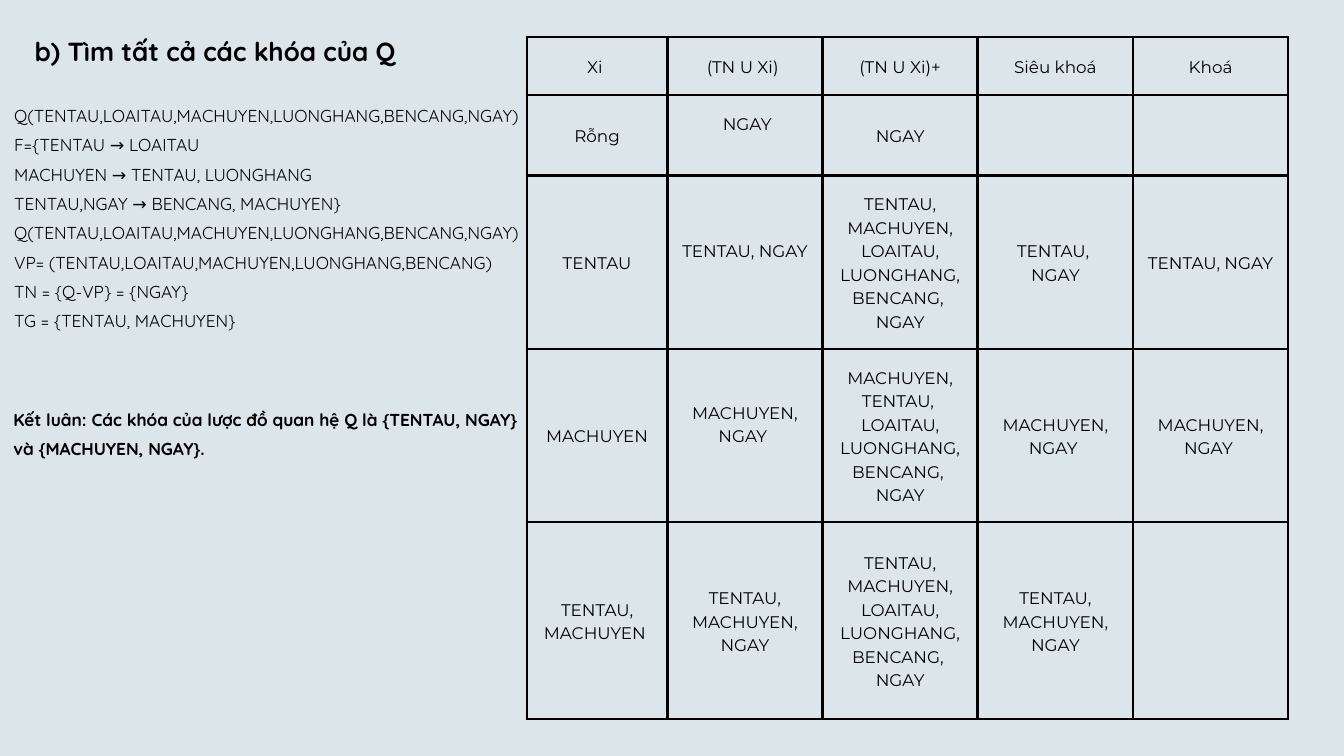
from dataclasses import dataclass

from lxml import etree
from pptx import Presentation
from pptx import util as u
from pptx.dml.color import RGBColor
from pptx.enum import text
from pptx.oxml.ns import qn


@dataclass(frozen=True)
class Theme:
    """Colours, fonts and type sizes of the deck."""
    ground: str = "DBE5EA"
    ink: str = "000000"
    body_font: str = "Quicksand"
    table_font: str = "Montserrat"
    title_size: float = 28
    title_line: float = 47.6
    body_size: float = 18.5
    body_line: float = 31.4
    table_size: float = 18
    table_line: float = 25.2
    border: float = 3


THEME = Theme()
CENTER = text.PP_ALIGN.CENTER
LEFT = text.PP_ALIGN.LEFT
CELL_MARGIN = 0.21
RAISED_MARGIN = CELL_MARGIN + 0.35

TITLE = ["b) Tìm tất cả các khóa của Q"]
RELATION = [
    "Q(TENTAU,LOAITAU,MACHUYEN,LUONGHANG,BENCANG,NGAY)",
    "F={TENTAU → LOAITAU",
    "MACHUYEN → TENTAU, LUONGHANG",
    "TENTAU,NGAY → BENCANG, MACHUYEN}",
    "Q(TENTAU,LOAITAU,MACHUYEN,LUONGHANG,BENCANG,NGAY)",
    "VP= (TENTAU,LOAITAU,MACHUYEN,LUONGHANG,BENCANG)",
    "TN = {Q-VP} = {NGAY}",
    "TG = {TENTAU, MACHUYEN}",
]
CONCLUSION = [
    "Kết luân: Các khóa của lược đồ quan hệ Q là {TENTAU, NGAY}",
    "và {MACHUYEN, NGAY}.",
]

SHIP_CLOSURE = "TENTAU,\nMACHUYEN, LOAITAU,\nLUONGHANG, BENCANG, \nNGAY"
TRIP_CLOSURE = "MACHUYEN,\nTENTAU, \nLOAITAU,\nLUONGHANG, BENCANG, \nNGAY"
ALL_KEYS = "TENTAU, MACHUYEN, NGAY"
KEY_ROWS = [
    ["Xi ", "(TN U Xi) ", "(TN U Xi)+", "Siêu khoá", "Khoá"],
    ["Rỗng", " NGAY", "NGAY", "", ""],
    ["TENTAU", "TENTAU, NGAY", SHIP_CLOSURE, "TENTAU, \nNGAY", "TENTAU, NGAY "],
    ["MACHUYEN", "MACHUYEN,\nNGAY ", TRIP_CLOSURE, "MACHUYEN, NGAY ", "MACHUYEN, NGAY "],
    ["TENTAU, MACHUYEN ", ALL_KEYS, SHIP_CLOSURE, ALL_KEYS, ""],
]
RAISED_CELLS = {(1, 1), (2, 1), (3, 1)}
COLUMN_WIDTHS = [2.09] + [2.31] * 4
ROW_HEIGHTS = [0.86, 1.2, 2.58, 2.58, 2.93]


def write_lines(frame, lines, font, size, line, bold=False, align=LEFT):
    """Write one paragraph for each line, all in the same style."""
    for index, words in enumerate(lines):
        para = frame.add_paragraph() if index else frame.paragraphs[0]
        para.text = words
        para.alignment = align
        para.line_spacing = u.Pt(line)
        para.font.name = font
        para.font.size = u.Pt(size)
        para.font.bold = bold
        para.font.color.rgb = RGBColor.from_string(THEME.ink)


def add_text(page, box, lines, size, line, bold=False, align=LEFT):
    """Place a text block without margins in the given box."""
    frame = page.shapes.add_textbox(*map(u.Inches, box)).text_frame
    frame.word_wrap = True
    frame.auto_size = text.MSO_AUTO_SIZE.SHAPE_TO_FIT_TEXT
    frame.margin_left = frame.margin_right = 0
    frame.margin_top = frame.margin_bottom = 0
    write_lines(frame, lines, THEME.body_font, size, line, bold, align)


def draw_borders(cell):
    """Draw a solid line on all four sides of a cell."""
    properties = cell._tc.get_or_add_tcPr()
    for index, side in enumerate(("a:lnL", "a:lnR", "a:lnT", "a:lnB")):
        edge = etree.Element(qn(side), w=str(u.Pt(THEME.border)))
        fill = etree.SubElement(edge, qn("a:solidFill"))
        etree.SubElement(fill, qn("a:srgbClr"), val=THEME.ink)
        properties.insert(index, edge)


def add_key_table(page, box):
    """Place the table of closures, superkeys and keys."""
    frame = page.shapes.add_table(len(KEY_ROWS), len(COLUMN_WIDTHS), *map(u.Inches, box))
    table = frame.table
    table.first_row = table.horz_banding = False
    for column, width in zip(table.columns, COLUMN_WIDTHS):
        column.width = u.Inches(width)
    for row, height in zip(table.rows, ROW_HEIGHTS):
        row.height = u.Inches(height)
    for row, entries in enumerate(KEY_ROWS):
        for column, entry in enumerate(entries):
            cell = table.cell(row, column)
            raised = (row, column) in RAISED_CELLS
            cell.margin_left = cell.margin_right = cell.margin_top = u.Inches(CELL_MARGIN)
            cell.margin_bottom = u.Inches(RAISED_MARGIN if raised else CELL_MARGIN)
            cell.vertical_anchor = text.MSO_ANCHOR.MIDDLE
            cell.fill.background()
            draw_borders(cell)
            write_lines(cell.text_frame, entry.split("\n"), THEME.table_font,
                        THEME.table_size, THEME.table_line, align=CENTER)


def build_keys_slide(deck):
    """Add the slide that finds all keys of Q."""
    page = deck.slides.add_slide(deck.slide_layouts[6])
    page.background.fill.solid()
    page.background.fill.fore_color.rgb = RGBColor.from_string(THEME.ground)
    add_text(page, (0.5, 0.33, 5.4, 0.62), TITLE,
             THEME.title_size, THEME.title_line, bold=True, align=CENTER)
    add_text(page, (0.21, 1.44, 7.62, 3.38), RELATION, THEME.body_size, THEME.body_line)
    add_key_table(page, (7.84, 0.55, sum(COLUMN_WIDTHS), sum(ROW_HEIGHTS)))
    add_text(page, (0.2, 5.96, 7.63, 0.82), CONCLUSION,
             THEME.body_size, THEME.body_line, bold=True)


def main():
    """Build and save the deck."""
    deck = Presentation()
    deck.slide_width = u.Inches(20)
    deck.slide_height = u.Inches(11.25)
    build_keys_slide(deck)
    deck.save("out.pptx")


if __name__ == "__main__":
    main()
